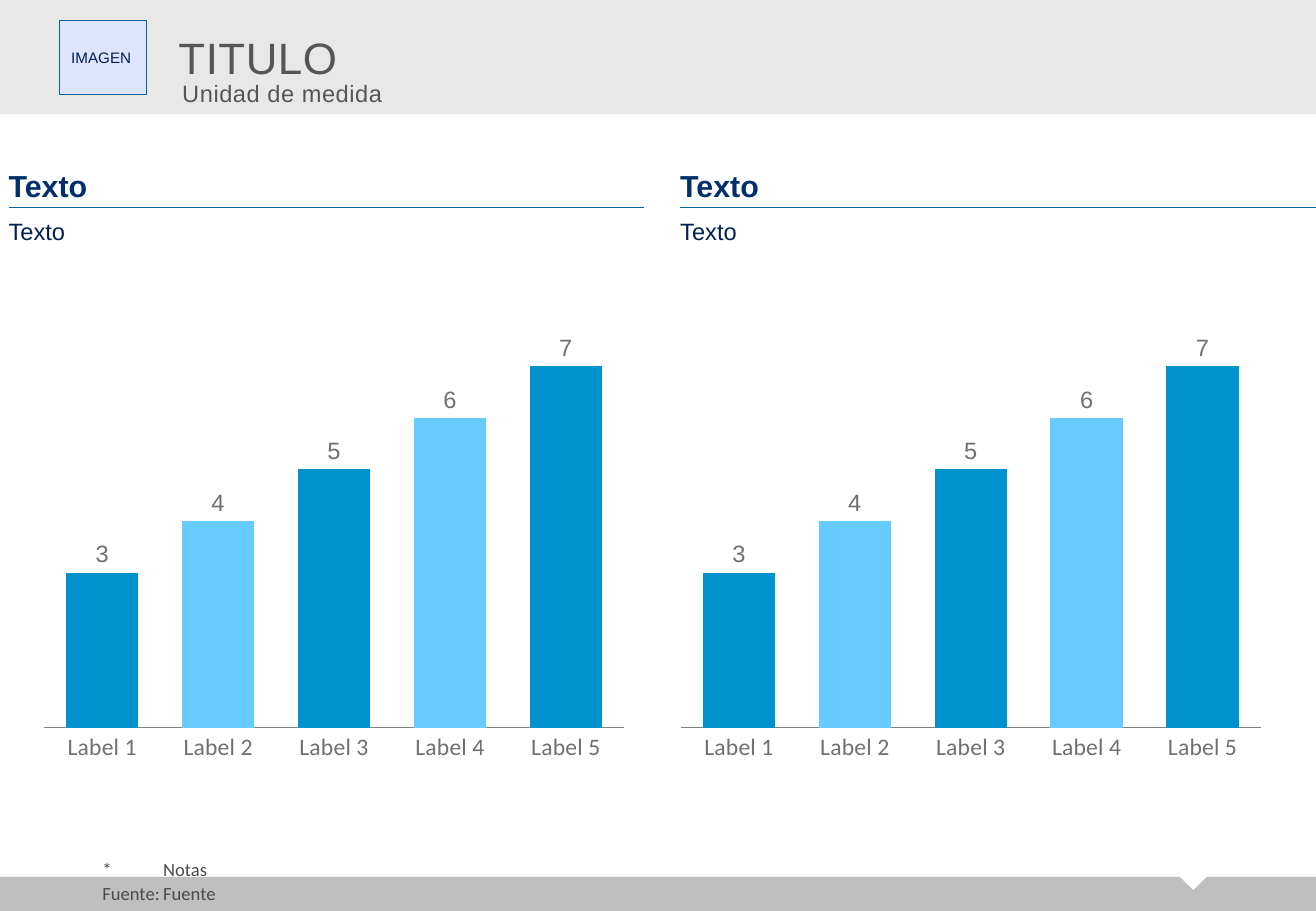
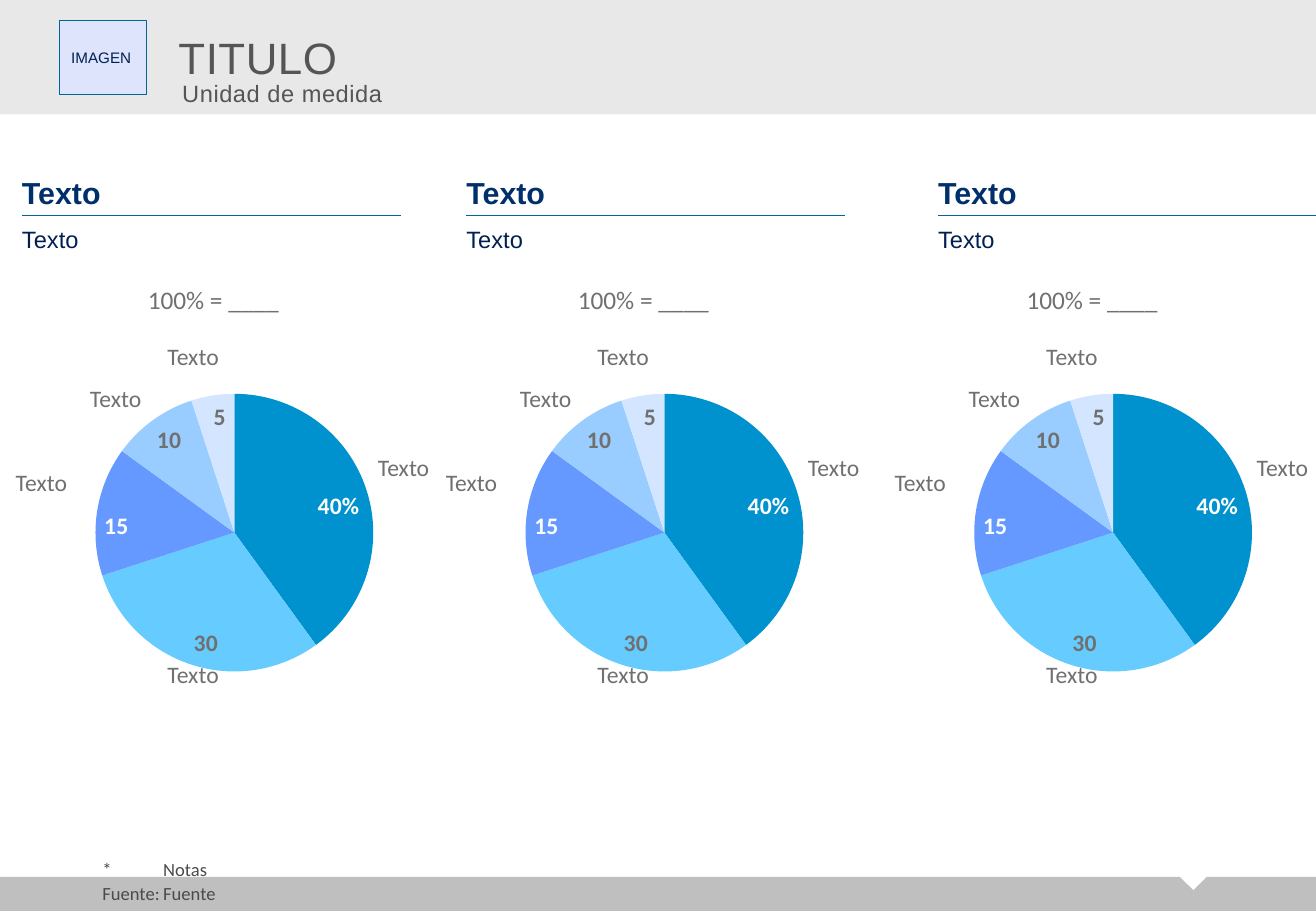
from lxml import etree
from pptx import Presentation
from pptx.chart.data import CategoryChartData
from pptx.dml.color import RGBColor
from pptx.enum import chart as charts, shapes, text
from pptx.oxml.ns import qn
from pptx.util import Cm, Pt

WHITE = RGBColor(0xFF, 0xFF, 0xFF)
HEADER_GREY = RGBColor(0xE8, 0xE8, 0xE8)
FOOTER_GREY = RGBColor(0xBF, 0xBF, 0xBF)
TITLE_GREY = RGBColor(0x55, 0x55, 0x55)
NOTE_GREY = RGBColor(0x4B, 0x4B, 0x4B)
LABEL_GREY = RGBColor(0x70, 0x70, 0x70)
AXIS_GREY = RGBColor(0x80, 0x80, 0x80)
NAVY = RGBColor(0x00, 0x20, 0x52)
HEADING_BLUE = RGBColor(0x00, 0x30, 0x6B)
RULE_BLUE = RGBColor(0x00, 0x66, 0x99)
LILAC = RGBColor(0xDD, 0xE4, 0xFB)
BLUE = RGBColor(0x00, 0x92, 0xCF)
SKY = RGBColor(0x66, 0xCC, 0xFF)
PERIWINKLE = RGBColor(0x66, 0x99, 0xFF)
LIGHT_BLUE = RGBColor(0x99, 0xCC, 0xFF)
PALE_BLUE = RGBColor(0xD4, 0xE5, 0xFF)

WIDTH, HEIGHT = 27.51, 19.05


def add_text(slide, box, lines, size, color, font="Arial", bold=None,
             anchor=text.MSO_ANCHOR.TOP, align=None):
    """Add a text box without margins; box is left, top, width, height in cm."""
    label = slide.shapes.add_textbox(*map(Cm, box))
    frame = label.text_frame
    frame.margin_left = frame.margin_right = frame.margin_top = frame.margin_bottom = 0
    frame.word_wrap = True
    frame.auto_size = text.MSO_AUTO_SIZE.SHAPE_TO_FIT_TEXT
    frame.vertical_anchor = anchor
    frame.text = lines
    for paragraph in frame.paragraphs:
        paragraph.alignment = align
        paragraph.font.size, paragraph.font.name = Pt(size), font
        paragraph.font.bold = bold
        paragraph.font.color.rgb = color
    return label


def add_chart(slide, kind, box, categories, values, colors, plot_area):
    """Add a one-series chart with coloured points and a fixed plot area."""
    data = CategoryChartData()
    data.categories = categories
    data.add_series("Series 1", values)
    chart = slide.shapes.add_chart(kind, *map(Cm, box), data).chart
    chart.has_title = chart.has_legend = False
    chart.font.name, chart.font.size = "Arial", Pt(14)
    chart.font.color.rgb = NAVY

    area = chart.element.find(".//" + qn("c:plotArea"))
    for old in area.findall(qn("c:layout")):
        area.remove(old)
    layout = etree.Element(qn("c:layout"))
    area.insert(0, layout)
    manual = etree.SubElement(layout, qn("c:manualLayout"))
    settings = [("layoutTarget", "inner"), ("xMode", "edge"), ("yMode", "edge")]
    for tag, value in settings + list(zip("xywh", plot_area)):
        etree.SubElement(manual, qn("c:" + tag)).set("val", str(value))

    series = chart.plots[0].series[0]
    series.format.fill.solid()
    series.format.fill.fore_color.rgb = PALE_BLUE
    for i, color in enumerate(colors):
        fill = series.points[i].format.fill
        fill.solid()
        fill.fore_color.rgb = color
    labels = series.data_labels
    labels.show_value = True
    labels.font.size = Pt(14)
    labels.font.color.rgb = LABEL_GREY
    return chart


deck = Presentation()
deck.slide_width, deck.slide_height = Cm(WIDTH), Cm(HEIGHT)
title_only = deck.slide_layouts[5]
columns_slide = deck.slides.add_slide(title_only)
pies_slide = deck.slides.add_slide(title_only)

# Bands are drawn once and moved to the layout, behind its placeholders
bands = [
    (shapes.MSO_SHAPE.RECTANGLE, (0, 18.34, WIDTH, 0.71), FOOTER_GREY, 0),
    (shapes.MSO_SHAPE.ISOSCELES_TRIANGLE, (24.64, 18.31, 0.61, 0.3), WHITE, 180),
    (shapes.MSO_SHAPE.RECTANGLE, (0, 0, WIDTH, 2.39), HEADER_GREY, 0),
]
for position, (kind, box, color, rotation) in enumerate(bands, start=2):
    band = columns_slide.shapes.add_shape(kind, *map(Cm, box))
    band.shadow.inherit = False
    band.fill.solid()
    band.fill.fore_color.rgb = color
    band.line.fill.background()
    band.rotation = rotation
    title_only.shapes.element.insert(position, band.element)

# Header, notes and column headings: slide, lefts, rule height, column width
headings = [
    (columns_slide, (0.18, 14.22), 4.34, 13.28),
    (pies_slide, (0.46, 9.75, 19.61), 4.5, 7.92),
]
for slide, lefts, rule_top, column_width in headings:
    title = slide.shapes.title
    title.left, title.top, title.width, title.height = map(Cm, (0, 0, WIDTH, 2.39))
    title.fill.solid()
    title.fill.fore_color.rgb = HEADER_GREY
    frame = title.text_frame
    frame.text = "TITULO"
    frame.auto_size = text.MSO_AUTO_SIZE.NONE
    frame.vertical_anchor = text.MSO_ANCHOR.MIDDLE
    frame.margin_left = Cm(3.73)
    frame.margin_right = frame.margin_top = frame.margin_bottom = 0
    heading = frame.paragraphs[0]
    heading.alignment = text.PP_ALIGN.LEFT
    heading.space_before = Pt(0.9)
    heading.font.size, heading.font.name = Pt(26), "Arial"
    heading.font.color.rgb = TITLE_GREY

    image_box = slide.shapes.add_shape(
        shapes.MSO_SHAPE.RECTANGLE, Cm(1.24), Cm(0.43), Cm(1.83), Cm(1.55))
    image_box.shadow.inherit = False
    image_box.fill.solid()
    image_box.fill.fore_color.rgb = LILAC
    image_box.line.color.rgb, image_box.line.width = RULE_BLUE, Pt(0.75)
    image_box.text_frame.text = "IMAGEN"
    caption = image_box.text_frame.paragraphs[0]
    caption.alignment = text.PP_ALIGN.LEFT
    caption.font.size, caption.font.name = Pt(9), "Arial"
    caption.font.color.rgb = NAVY

    notes = add_text(slide, (0.46, 17.96, 26.01, 0.97), "\t*\tNotas\n\tFuente:\tFuente",
                     11, NOTE_GREY, "Calibri", anchor=text.MSO_ANCHOR.BOTTOM)
    for paragraph in notes.text_frame.paragraphs:
        paragraph.line_spacing, paragraph.space_after = 0.95, Pt(2)
    for properties in notes.element.iter(qn("a:pPr")):
        properties.set("marL", str(int(Cm(1.68))))
        properties.set("indent", str(int(Cm(-1.68))))
        tabs = etree.Element(qn("a:tabLst"))
        etree.SubElement(tabs, qn("a:tab"), pos=str(int(Cm(1.45))), algn="r")
        properties.find(qn("a:defRPr")).addprevious(tabs)

    unit = add_text(slide, (3.81, 1.65, 22.86, 0.61), "Unidad de medida", 14, TITLE_GREY)
    unit.text_frame.paragraphs[0].space_before = Pt(0.9)
    for spaced in (title, unit):
        for properties in spaced.element.iter(qn("a:defRPr")):
            properties.set("spc", "30")

    for left in lefts:
        rule = slide.shapes.add_connector(
            shapes.MSO_CONNECTOR.STRAIGHT, Cm(left), Cm(rule_top),
            Cm(left + column_width), Cm(rule_top))
        rule.line.color.rgb, rule.line.width = RULE_BLUE, Pt(0.75)
        etree.SubElement(rule.element.find(qn("p:spPr")), qn("a:effectLst"))
        add_text(slide, (left, rule_top - 0.73, column_width, 0.64), "Texto", 18,
                 HEADING_BLUE, bold=True, anchor=text.MSO_ANCHOR.BOTTOM)
        add_text(slide, (left, rule_top + 0.2, column_width, 0.61), "Texto", 14, NAVY)

# Column charts
for left in (0.46, 13.77):
    chart = add_chart(
        columns_slide, charts.XL_CHART_TYPE.COLUMN_CLUSTERED, (left, 5.89, 13, 11.28),
        [f"Label {n}" for n in range(1, 6)], (3, 4, 5, 6, 7),
        (BLUE, SKY, BLUE, SKY, BLUE), (0.036, 0.061, 0.932, 0.766))
    plot = chart.plots[0]
    plot.gap_width = 60
    plot.vary_by_categories = False
    plot.series[0].data_labels.position = charts.XL_LABEL_POSITION.OUTSIDE_END
    values = chart.value_axis
    values.visible = values.has_major_gridlines = False
    values.minimum_scale, values.maximum_scale = 0, 8
    names = chart.category_axis
    names.major_tick_mark = charts.XL_TICK_MARK.NONE
    names.format.line.color.rgb = AXIS_GREY
    names.format.line.width = Pt(0.75)
    names.tick_labels.font.name = "Calibri"
    names.tick_labels.font.size = Pt(14)
    names.tick_labels.font.color.rgb = LABEL_GREY

# Pie charts, with slice names placed relative to each chart
slice_names = [(4.39, 7.14), (1.22, 9.78), (4.39, 13.79), (8.79, 9.47), (2.77, 8.03)]
for left in (-0.89, 8.1, 17.48):
    chart = add_chart(
        pies_slide, charts.XL_CHART_TYPE.PIE, (left, 7.14, 11.58, 7.26),
        ("1", "2", "3", "4", "5"), (40, 30, 15, 10, 5),
        (BLUE, SKY, PERIWINKLE, LIGHT_BLUE, PALE_BLUE), (0.249, 0.151, 0.502, 0.8))
    series = chart.plots[0].series[0]
    shares = series.data_labels
    shares.position = charts.XL_LABEL_POSITION.INSIDE_END
    shares.font.name, shares.font.bold = "Calibri", True
    for dark_slice in (0, 2):
        share = series.points[dark_slice].data_label
        share.position = charts.XL_LABEL_POSITION.INSIDE_END
        share.font.name, share.font.size = "Calibri", Pt(14)
        share.font.bold = True
        share.font.color.rgb = WHITE
    percent = etree.Element(qn("c:numFmt"), formatCode='0"%"', sourceLinked="0")
    chart.element.find(".//" + qn("c:dLbl")).insert(1, percent)

    add_text(pies_slide, (left + 1.63, 5.94, 7.44, 0.64), "100% = ____", 15,
             LABEL_GREY, "Calibri", align=text.PP_ALIGN.CENTER)
    for offset, top in slice_names:
        add_text(pies_slide, (left + offset, top, 2.79, 0.61), "Texto", 14,
                 LABEL_GREY, "Calibri")

deck.save("out.pptx")
